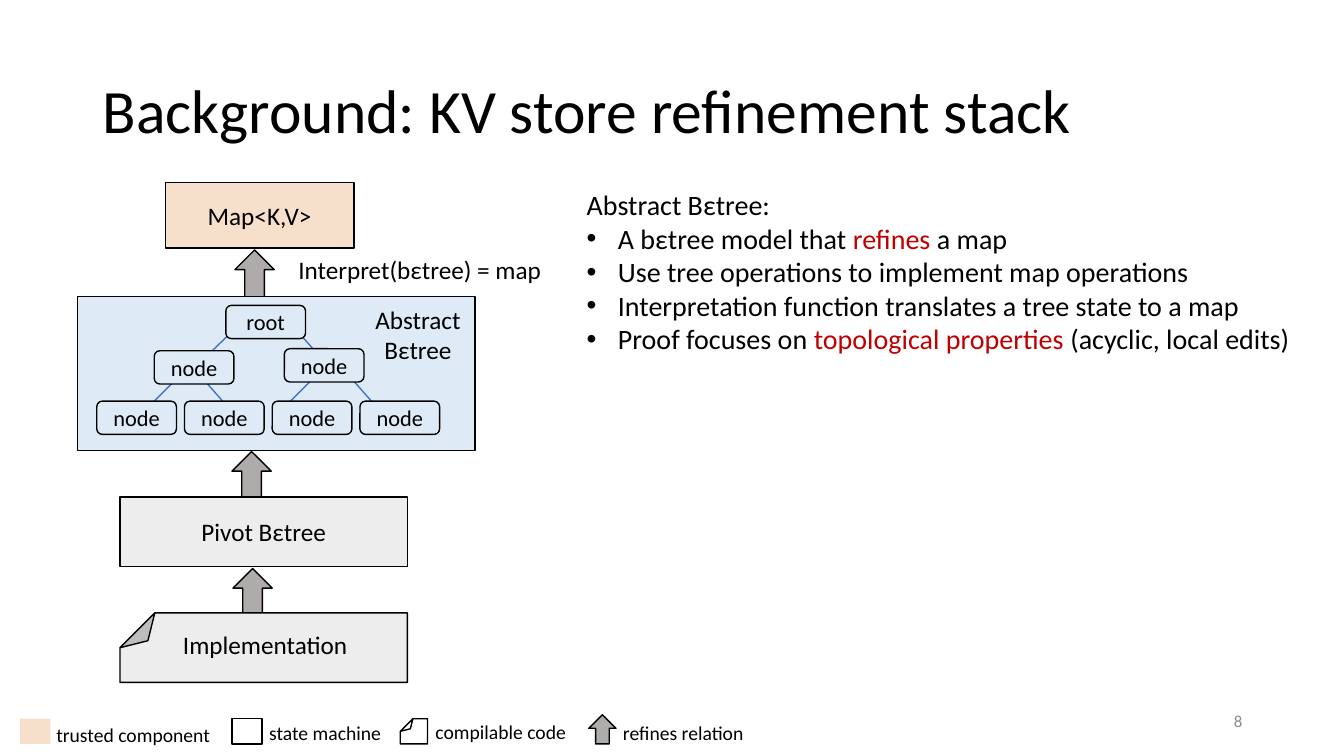
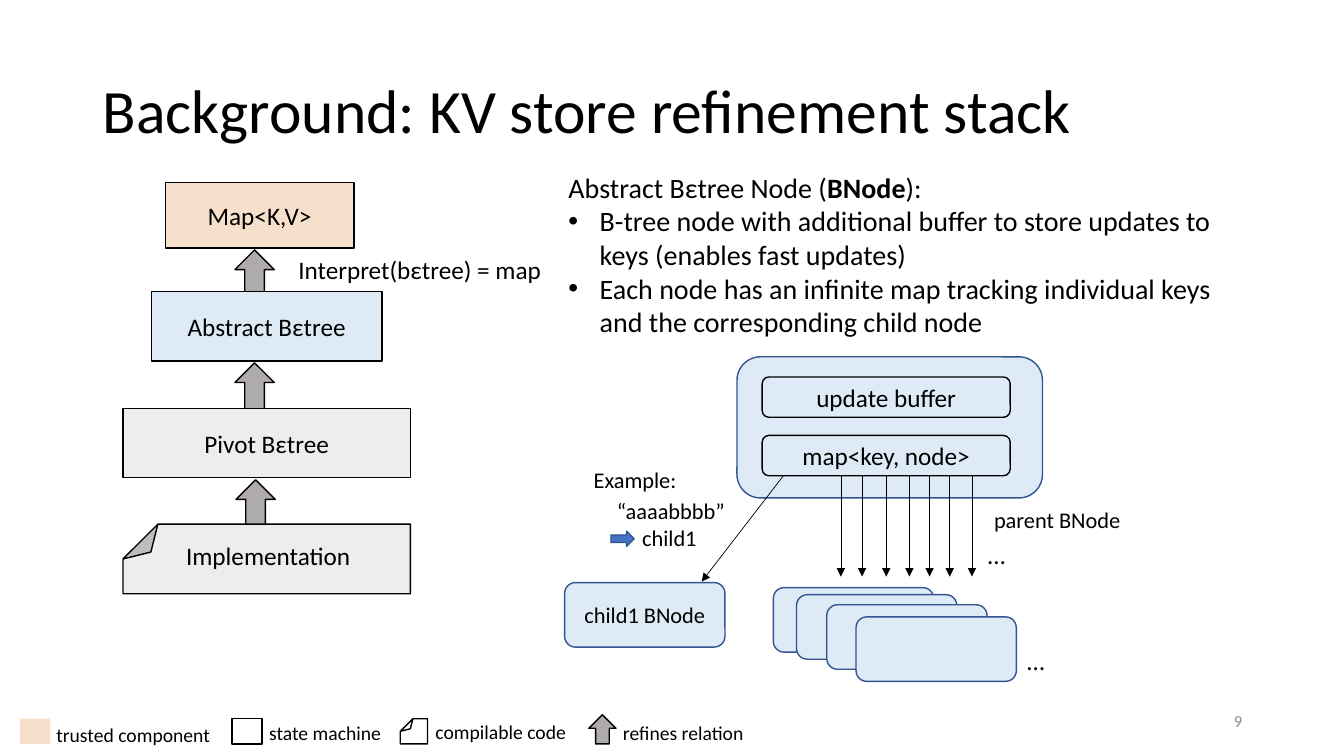
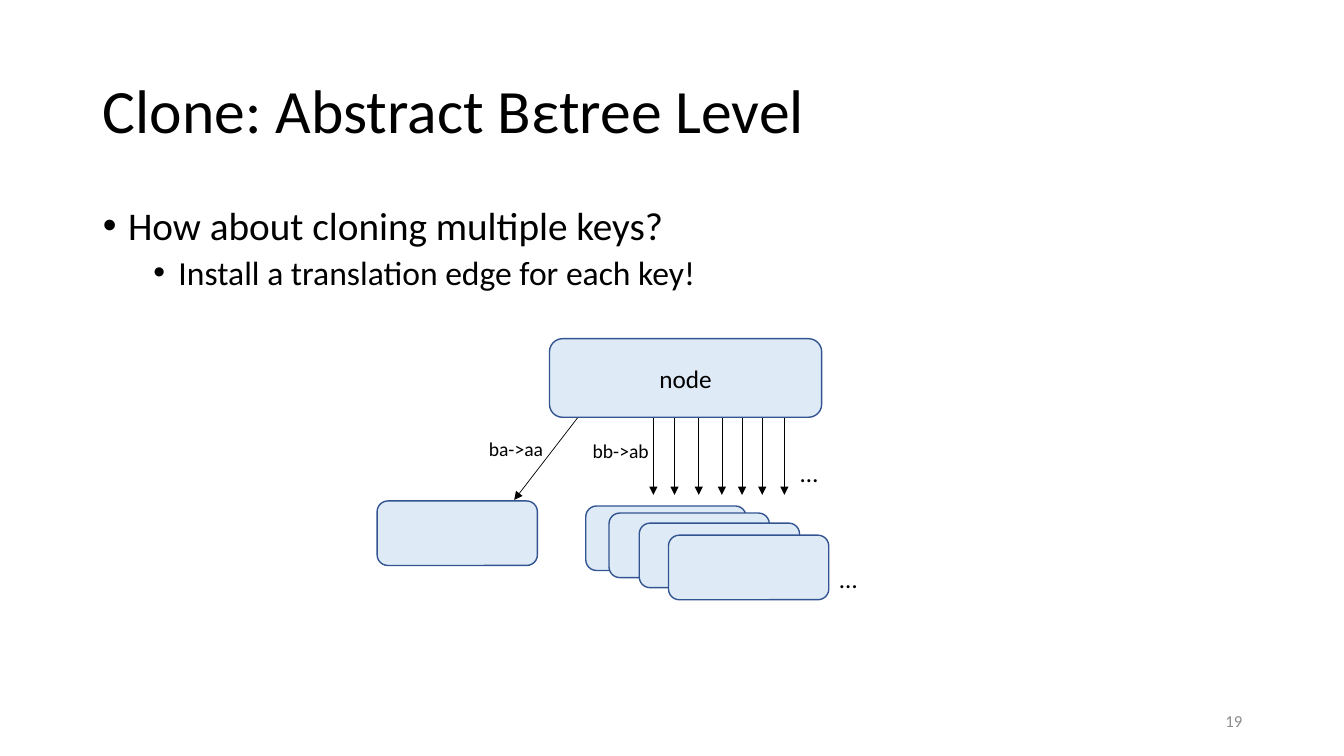
from lxml.etree import SubElement
from pptx import Presentation
from pptx.dml.color import RGBColor
from pptx.enum.shapes import MSO_CONNECTOR, MSO_SHAPE
from pptx.enum.text import MSO_ANCHOR, MSO_AUTO_SIZE, PP_ALIGN
from pptx.oxml.ns import qn
from pptx.util import Emu, Pt

EMU_PER_PX = 9144  # 100 px to the inch
FONT = "Calibri"
BLACK = RGBColor(0x00, 0x00, 0x00)
RED = RGBColor(0xC0, 0x00, 0x00)
BLUE = RGBColor(0x44, 0x72, 0xC4)
DARK_BLUE = RGBColor(0x32, 0x54, 0x91)
PALE_BLUE = RGBColor(0xDE, 0xEB, 0xF7)
PEACH = RGBColor(0xF6, 0xE0, 0xCC)
PALE_GREY = RGBColor(0xED, 0xED, 0xED)
ARROW_GREY = RGBColor(0xAF, 0xAB, 0xAB)
NUMBER_GREY = RGBColor(0x8C, 0x8C, 0x8C)

TITLE_ONLY, TITLE_AND_CONTENT = 5, 1
STACK_TITLE = "Background: KV store refinement stack"


def px(value):
    return Emu(value * EMU_PER_PX)


# Text
def style_span(span, size, color=BLACK, bold=False):
    span.font.name = FONT
    span.font.size = Pt(size)
    span.font.color.rgb = color
    span.font.bold = bold


def style_frame(frame, size, color=BLACK, align=PP_ALIGN.LEFT, anchor=MSO_ANCHOR.TOP):
    frame.word_wrap = True
    frame.auto_size = MSO_AUTO_SIZE.NONE
    frame.vertical_anchor = anchor
    for para in frame.paragraphs:
        para.alignment = align
        for span in para.runs:
            style_span(span, size, color)


def set_indent(para, left, first=0):
    properties = para._p.get_or_add_pPr()
    properties.set("marL", str(px(left)))
    properties.set("indent", str(px(first)))
    return properties


def set_bullet(para, left, hanging):
    properties = set_indent(para, left, -hanging)
    SubElement(properties, qn("a:buFont")).set("typeface", "Arial")
    SubElement(properties, qn("a:buChar")).set("char", "•")


def add_text(page, x, y, width, height, text, size, **style):
    box = page.shapes.add_textbox(px(x), px(y), px(width), px(height))
    box.text_frame.text = text
    style_frame(box.text_frame, size, **style)
    return box


def add_points(page, x, y, width, height, lines):
    """A heading line, then bullets; each line is a list of (text, style) parts."""
    box = page.shapes.add_textbox(px(x), px(y), px(width), px(height))
    frame = box.text_frame
    frame.word_wrap = True
    for index, parts in enumerate(lines):
        para = frame.add_paragraph() if index else frame.paragraphs[0]
        if index:
            set_bullet(para, 31, 31)
        for text, style in parts:
            span = para.add_run()
            span.text = text
            style_span(span, 20, **style)


# Shapes and lines
def add_shape(page, kind, x, y, width, height, fill=None, line=BLACK, text="", size=18):
    shape = page.shapes.add_shape(kind, px(x), px(y), px(width), px(height))
    shape.shadow.inherit = False
    if fill is None:
        shape.fill.background()
    else:
        shape.fill.solid()
        shape.fill.fore_color.rgb = fill
    if line is None:
        shape.line.fill.background()
    else:
        shape.line.color.rgb = line
        shape.line.width = Pt(1)
    if text:
        shape.text_frame.text = text
        style_frame(shape.text_frame, size, align=PP_ALIGN.CENTER, anchor=MSO_ANCHOR.MIDDLE)
    return shape


def add_up_arrow(page, x, y, width=39, height=54):
    add_shape(page, MSO_SHAPE.UP_ARROW, x, y, width, height, ARROW_GREY)


def add_folded_page(page, x, y, width, height, fill=None):
    shape = add_shape(page, MSO_SHAPE.FOLDED_CORNER, x, y, width, height, fill)
    shape.rotation = 180
    # python-pptx offers no adjustment for this preset
    fold = SubElement(shape._element.spPr.find(".//" + qn("a:avLst")), qn("a:gd"))
    fold.set("name", "adj")
    fold.set("fmla", "val 50000")


def add_line(page, x1, y1, x2, y2, color=BLACK, width=0.5, arrow=True):
    line = page.shapes.add_connector(MSO_CONNECTOR.STRAIGHT, px(x1), px(y1), px(x2), px(y2))
    line.line.color.rgb = color
    line.line.width = Pt(width)
    properties = line._element.spPr
    if arrow:
        SubElement(properties.find(qn("a:ln")), qn("a:tailEnd")).set("type", "triangle")
    SubElement(properties, qn("a:effectLst"))


# Parts shared by the slides
def add_page(deck, title, number, layout=TITLE_ONLY, title_width=1002):
    page = deck.slides.add_slide(deck.slide_layouts[layout])
    holder = page.shapes.title
    holder.left, holder.top, holder.width, holder.height = px(92), px(40), px(title_width), px(145)
    holder.text_frame.text = title
    holder.text_frame.paragraphs[0].line_spacing = 0.9
    style_frame(holder.text_frame, 44, anchor=MSO_ANCHOR.MIDDLE)
    add_text(page, 942, 695, 300, 40, str(number), 12, color=NUMBER_GREY,
             align=PP_ALIGN.RIGHT, anchor=MSO_ANCHOR.MIDDLE)
    return page


def add_legend(page):
    add_shape(page, MSO_SHAPE.RECTANGLE, 20, 713, 30, 25, PEACH, line=None)
    add_shape(page, MSO_SHAPE.RECTANGLE, 230, 713, 30, 25)
    add_folded_page(page, 397, 713, 27, 25)
    add_up_arrow(page, 584, 709, 27, 29)
    for x, y, width, label in (
        (46, 712, 185, "trusted component"),
        (257, 710, 132, "state machine"),
        (422, 709, 158, "compilable code"),
        (608, 710, 145, "refines relation"),
    ):
        add_text(page, x, y, width, 34, label, 14)


def add_stack_top(page):
    add_shape(page, MSO_SHAPE.RECTANGLE, 164, 181, 187, 65, PEACH, text="Map<K,V>")
    add_up_arrow(page, 233, 248)
    add_text(page, 286, 247, 271, 40, "Interpret(bεtree) = map", 18)


def add_stack_bottom(page, x, y):
    """Pivot box with its corner at x, y, and the implementation under it."""
    add_up_arrow(page, x + 111, y - 45)
    add_up_arrow(page, x + 112, y + 71)
    add_shape(page, MSO_SHAPE.RECTANGLE, x, y, 285, 69, PALE_GREY, text="Pivot Bεtree")
    add_folded_page(page, x, y + 115, 285, 69, PALE_GREY)
    add_text(page, x + 2, y + 126, 284, 40, "Implementation", 18, align=PP_ALIGN.CENTER)


def add_child(page, x, y, text=""):
    add_shape(page, MSO_SHAPE.ROUNDED_RECTANGLE, x, y, 159, 64, PALE_BLUE, DARK_BLUE, text, 16)


def add_child_fan(page, x, y, first_child=""):
    """Edges from a parent to a first child at x, y and to a pile of others."""
    add_line(page, x + 217, y - 106, x + 136, y - 1)
    for offset in (274, 295, 319, 342, 362, 382, 404):
        add_line(page, x + offset, y - 106, x + offset, y - 6)
    add_child(page, x, y, first_child)
    for right, down in ((207, 5), (230, 12), (260, 22), (289, 34)):
        add_child(page, x + right, y + down)
    for right, down in ((410, -48), (449, 57)):
        add_text(page, x + right, y + down, 43, 40, "…", 18)


# Slides
def build_abstract_tree(deck):
    page = add_page(deck, STACK_TITLE, 8)
    add_stack_top(page)
    add_shape(page, MSO_SHAPE.RECTANGLE, 77, 294, 394, 153, PALE_BLUE)
    add_text(page, 359, 297, 111, 71, "Abstract\nBεtree", 18, align=PP_ALIGN.CENTER)

    # Tree edges lie under the nodes
    for edge in (
        (225, 334, 199, 359), (298, 332, 321, 358),
        (172, 379, 146, 405), (205, 380, 228, 406),
        (349, 376, 372, 402), (308, 378, 282, 404),
    ):
        add_line(page, *edge, color=BLUE, width=1, arrow=False)
    leaves = [(96 + 87 * index, 398, "node") for index in range(4)]
    for x, y, label in [(224, 303, "root"), (153, 348, "node"), (282, 346, "node")] + leaves:
        add_shape(page, MSO_SHAPE.ROUNDED_RECTANGLE, x, y, 79, 33, PALE_BLUE, text=label, size=16)

    add_stack_bottom(page, 119, 493)
    plain, red = {}, {"color": RED}
    add_points(page, 572, 181, 722, 178, [
        [("Abstract Bεtree:", plain)],
        [("A bεtree model that ", plain), ("refines", red), (" a map", plain)],
        [("Use tree operations to implement map operations", plain)],
        [("Interpretation function translates a tree state to a map", plain)],
        [("Proof focuses on ", plain), ("topological properties ", red),
         ("(acyclic, local edits)", plain)],
    ])
    add_legend(page)


def build_tree_node(deck):
    page = add_page(deck, STACK_TITLE, 9)
    add_stack_top(page)
    add_shape(page, MSO_SHAPE.RECTANGLE, 150, 289, 229, 69, PALE_BLUE, text="Abstract Bεtree")
    add_stack_bottom(page, 122, 405)
    plain, bold = {}, {"bold": True}
    add_points(page, 554, 164, 687, 178, [
        [("Abstract Bεtree Node (", plain), ("BNode", bold), ("):", plain)],
        [("B-tree node with additional buffer to store updates to keys "
          "(enables fast updates)", plain)],
        [("Each node has an infinite map tracking individual keys and the "
          "corresponding child node", plain)],
    ])

    # Parent node with its children
    add_shape(page, MSO_SHAPE.ROUNDED_RECTANGLE, 731, 354, 303, 140, PALE_BLUE, DARK_BLUE)
    add_child_fan(page, 560, 578, "child1 BNode")
    for y, label in ((374, "update buffer"), (432, "map<key, node>")):
        add_shape(page, MSO_SHAPE.ROUNDED_RECTANGLE, 756, y, 246, 40, PALE_BLUE, text=label)
    add_text(page, 964, 497, 169, 37, "parent BNode", 16, align=PP_ALIGN.CENTER)

    # Example lookup
    add_text(page, 579, 458, 129, 37, "Example:", 16)
    lookup = add_text(page, 602, 488, 179, 64, "“aaaabbbb”\nchild1", 16)
    set_indent(lookup.text_frame.paragraphs[1], 25)
    add_shape(page, MSO_SHAPE.RIGHT_ARROW, 606, 527, 23, 15, BLUE, DARK_BLUE)
    add_legend(page)


def build_clone(deck):
    page = add_page(deck, "Clone: Abstract Bεtree Level", 19, TITLE_AND_CONTENT, 1150)
    body = page.placeholders[1]
    body.left, body.top, body.width, body.height = px(92), px(200), px(1150), px(122)
    frame = body.text_frame
    frame.text = "How about cloning multiple keys?\nInstall a translation edge for each key!"
    style_frame(frame, 28)
    for level, (para, left, size, before) in enumerate(
            zip(frame.paragraphs, (25, 75), (28, 24), (0, 5))):
        para.level = level
        set_bullet(para, left, 25)
        para.line_spacing = 0.9
        para.space_before = Pt(before)
        style_span(para.runs[0], size)

    # Node with translation edges
    add_child_fan(page, 374, 497)
    for x, y, label in ((475, 429, "ba->aa"), (578, 431, "bb->ab")):
        add_text(page, x, y, 84, 34, label, 14)
    add_shape(page, MSO_SHAPE.ROUNDED_RECTANGLE, 545, 336, 270, 78, PALE_BLUE, DARK_BLUE, "node")


def main():
    deck = Presentation()
    deck.slide_width, deck.slide_height = px(1333), px(750)
    build_abstract_tree(deck)
    build_tree_node(deck)
    build_clone(deck)
    deck.save("out.pptx")


if __name__ == "__main__":
    main()
